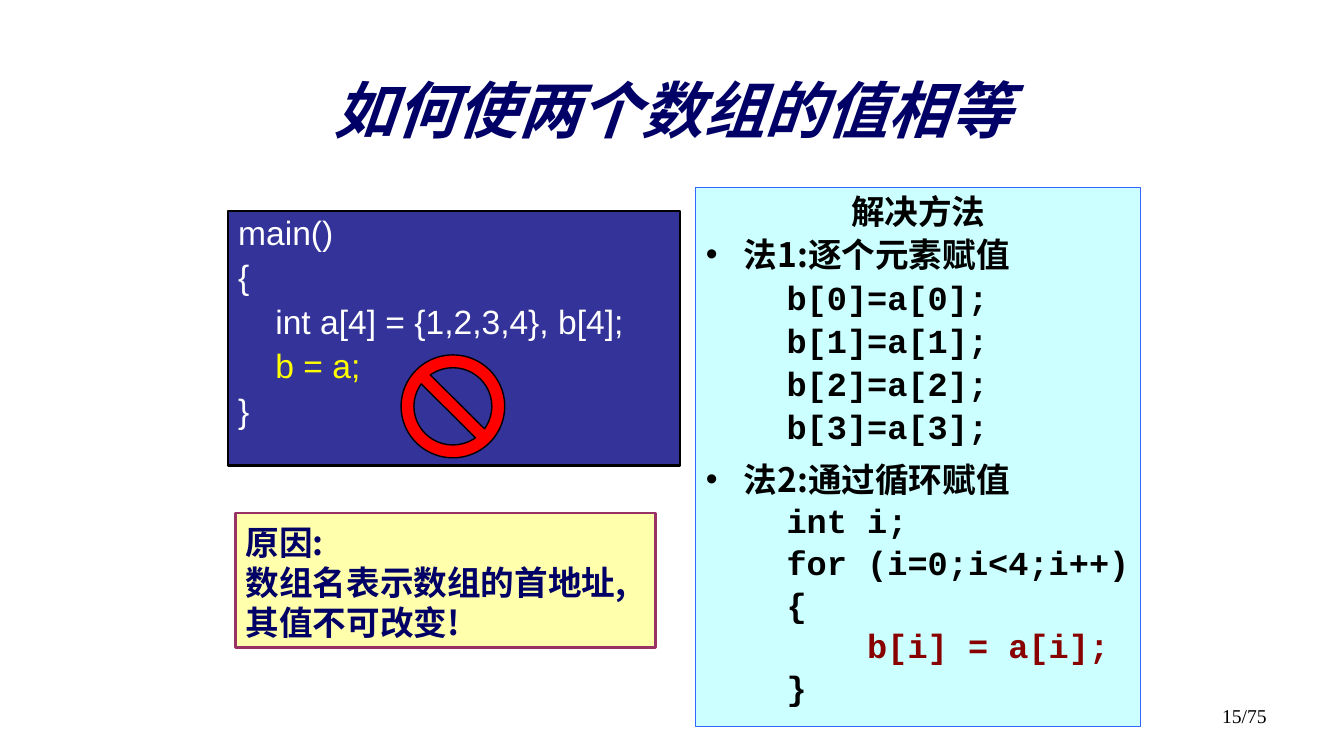
from pptx import Presentation
from pptx import util as u
from pptx.dml import color
from pptx.enum import shapes, text
from pptx.oxml import ns
from lxml import etree

Pt = u.Pt
COLORS = {
    "white": "FFFFFF", "black": "000000", "navy": "000066", "indigo": "333399",
    "yellow": "FFFF00", "cyan": "CCFFFF", "blue": "3366FF", "cream": "FFFF99",
    "plum": "993366", "red": "FF0000", "maroon": "880000",
}
CJK, CODE, SANS, SERIF = "Noto Sans CJK SC", "Courier New", "Arial", "Times New Roman"


def rgb(name):
    return color.RGBColor.from_string(COLORS[name])


def add_xml(parent, tag, **attributes):
    return etree.SubElement(parent, ns.qn(tag), attributes)


class SlideBuilder:
    """Holds the page and draws each kind of element in one style."""

    def __init__(self, page):
        self.page = page

    def decorate(self, shape, fill, line, width, alpha=None):
        shape.fill.solid()
        shape.fill.fore_color.rgb = rgb(fill)
        if alpha:
            tint = shape.fill._xPr.find(".//" + ns.qn("a:srgbClr"))
            add_xml(tint, "a:alpha", val=str(alpha * 1000))
        shape.line.color.rgb = rgb(line)
        shape.line.width = Pt(width)

    def place(self, shape, left, top, width, height):
        shape.left, shape.top = Pt(left), Pt(top)
        shape.width, shape.height = Pt(width), Pt(height)

    def frame(self, shape, anchor=text.MSO_ANCHOR.TOP, inset=3.6):
        frame = shape.text_frame
        frame.word_wrap = True
        frame.auto_size = text.MSO_AUTO_SIZE.NONE
        frame.vertical_anchor = anchor
        frame.margin_left = frame.margin_right = Pt(7.2)
        frame.margin_top, frame.margin_bottom = Pt(inset), Pt(3.6)
        return frame

    def shape(self, kind, place, fill, line, width, alpha=None):
        shape = self.page.shapes.add_shape(kind, *map(Pt, place))
        shape.shadow.inherit = False
        self.decorate(shape, fill, line, width, alpha)
        return shape

    def para(self, frame, words, font, tint, size=24, bold=False, italic=False,
             align=text.PP_ALIGN.LEFT, spacing=None, before=0, hanging=0,
             bullet=False, accent=None):
        """Add a paragraph; accent colours the words after the indent."""
        first = not frame.paragraphs[0].runs
        para = frame.paragraphs[0] if first else frame.add_paragraph()
        para.alignment = align
        para.line_spacing = spacing
        para.space_before = Pt(0 if first else before)
        properties = para._p.get_or_add_pPr()
        properties.set("marL", str(Pt(hanging)))
        properties.set("indent", str(-Pt(hanging)))
        if bullet:
            add_xml(properties, "a:buFont", typeface=SANS)
            add_xml(properties, "a:buChar", char="•")
        else:
            add_xml(properties, "a:buNone")
        para.font.name, para.font.size = font, Pt(size)
        para.font.bold, para.font.italic = bold, italic
        para.font.color.rgb = rgb(tint)
        add_xml(para.font._element, "a:ea", typeface=CJK)
        body = words.lstrip(" ") if accent else words
        if body != words:
            para.add_run().text = words[:-len(body)]
        span = para.add_run()
        span.text = body
        if accent:
            span.font.color.rgb = rgb(accent)
        return span

    def title(self, words, place):
        title = self.page.shapes.title
        self.place(title, *place)
        frame = self.frame(title, text.MSO_ANCHOR.MIDDLE)
        span = self.para(frame, words, SERIF, "navy", 44, True, True,
                         text.PP_ALIGN.CENTER, 0.85)
        effects = add_xml(span.font._element, "a:effectLst")
        shadow = add_xml(effects, "a:outerShdw", dist="38100", dir="2700000")
        add_xml(shadow, "a:srgbClr", val=COLORS["black"])

    def label(self, words, place):
        box = self.page.shapes.add_textbox(*map(Pt, place))
        self.para(self.frame(box), words, SERIF, "black", 14,
                  align=text.PP_ALIGN.RIGHT)


def main():
    deck = Presentation()
    deck.slide_width, deck.slide_height = Pt(960), Pt(540)
    page = deck.slides.add_slide(deck.slide_layouts[1])
    slide = SlideBuilder(page)
    rectangle = shapes.MSO_SHAPE.RECTANGLE

    slide.title("如何使两个数组的值相等", (71, 49, 819, 66))
    slide.label("15/75", (688, 499, 224, 37))

    # Faulty program
    program = slide.shape(rectangle, (163, 151, 323, 181.5), "indigo", "black", 1.5)
    frame = slide.frame(program)
    for line in ("main()", "{", "    int a[4] = {1,2,3,4}, b[4];", "    b = a;", "}"):
        slide.para(frame, line, SANS, "white", spacing=0.9, before=5.9, hanging=27,
                   accent="yellow" if "b = a" in line else None)

    # Solutions: heading, then each method with its code
    solutions = page.placeholders[1]
    slide.place(solutions, 497, 134, 318, 385)
    slide.decorate(solutions, "cyan", "blue", 0.75)
    frame = slide.frame(solutions)
    style = dict(tint="black", bold=True, spacing=Pt(27.7), hanging=27)
    slide.para(frame, "解决方法", CJK, align=text.PP_ALIGN.CENTER, **style)
    methods = (
        ("法1:逐个元素赋值", 3, 3, [f"b[{i}]=a[{i}];" for i in range(4)]),
        ("法2:通过循环赋值", 10, 2,
         ["int i;", "for (i=0;i<4;i++)", "{", "    b[i] = a[i];", "}"]),
    )
    for heading, gap, code_gap, code in methods:
        slide.para(frame, heading, CJK, before=gap, bullet=True, **style)
        for line in code:
            slide.para(frame, "    " + line, CODE, before=code_gap,
                       accent="maroon" if "b[i] =" in line else None, **style)

    # Reason
    reason = slide.shape(rectangle, (168.5, 366.5, 300, 96), "cream", "plum", 2, 81)
    frame = slide.frame(reason, inset=6)
    for line in ("原因:", "数组名表示数组的首地址,其值不可改变!"):
        slide.para(frame, line, CJK, "navy", bold=True, spacing=Pt(28.8))

    # Forbidden sign
    sign = slide.shape(shapes.MSO_SHAPE.NO_SYMBOL, (286.5, 253.5, 74, 73.5),
                       "red", "black", 1)
    sign.adjustments[0] = 0.125

    deck.save("out.pptx")


if __name__ == "__main__":
    main()
